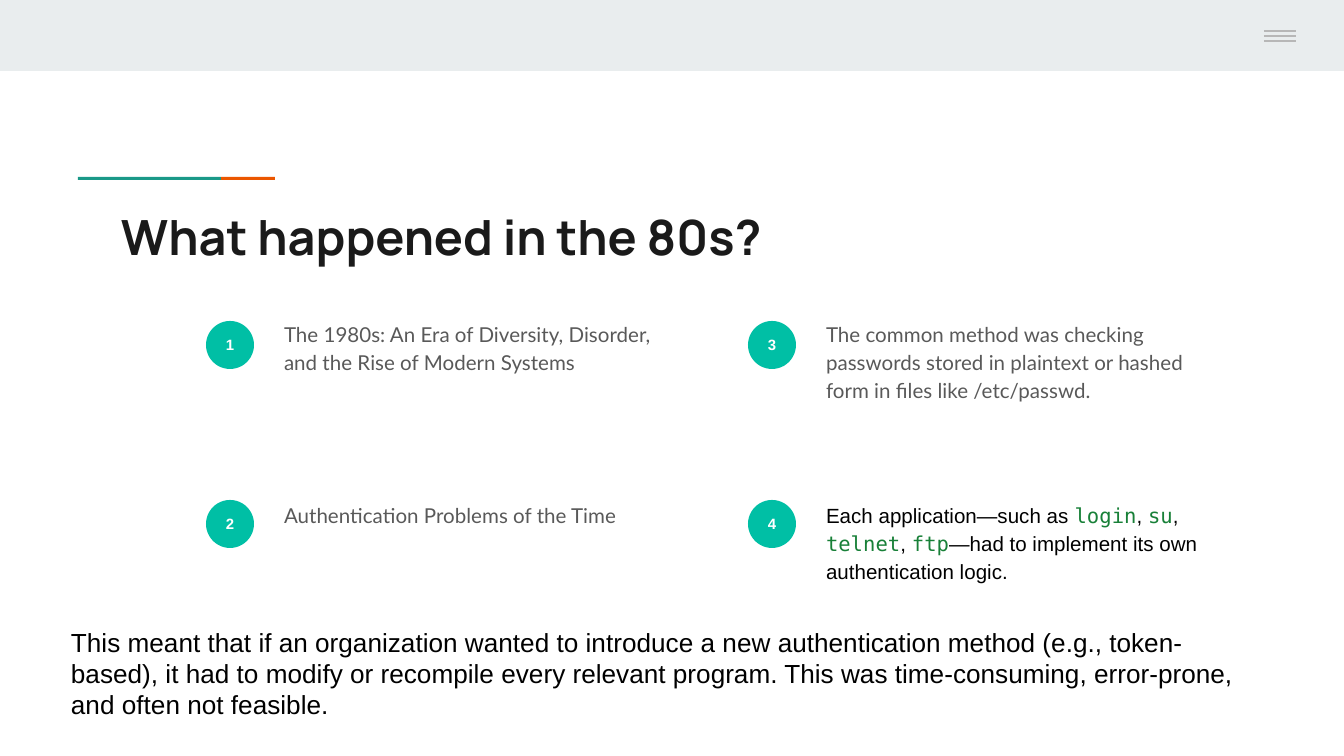
from pptx import Presentation
from pptx.dml.color import RGBColor
from pptx.enum.shapes import MSO_CONNECTOR, MSO_SHAPE
from pptx.enum.text import MSO_ANCHOR, PP_ALIGN
from pptx.oxml.ns import qn
from pptx.util import Emu, Pt
from lxml import etree

RECTANGLE = MSO_SHAPE.RECTANGLE
OVAL = MSO_SHAPE.OVAL
STRAIGHT = MSO_CONNECTOR.STRAIGHT
MIDDLE = MSO_ANCHOR.MIDDLE
TOP = MSO_ANCHOR.TOP
CENTER = PP_ALIGN.CENTER

WHITE = RGBColor(0xFF, 0xFF, 0xFF)
BLACK = RGBColor(0x00, 0x00, 0x00)
INK = RGBColor(0x1A, 0x1A, 0x1A)
GRAY = RGBColor(0x59, 0x59, 0x59)
BAND = RGBColor(0xE9, 0xED, 0xEE)
MENU = RGBColor(0xB7, 0xB7, 0xB7)
TEAL = RGBColor(0x1A, 0x99, 0x88)
ORANGE = RGBColor(0xEB, 0x56, 0x00)
BADGE = RGBColor(0x00, 0xBF, 0xA5)
CODE = RGBColor(0x18, 0x80, 0x38)

SANS = "Arial"
MONO = "DejaVu Sans Mono"
BODY = "Lato"
HEADING = "Manrope"

WIDTH, HEIGHT = 1344, 756
EMU_PER_PX = 9144000 / WIDTH
INSET = 13


def px(length):
    return Emu(round(length * EMU_PER_PX))


class SlideBuilder:
    def __init__(self, slide):
        self.slide = slide

    def block(self, kind, left, top, width, height, color):
        shape = self.slide.shapes.add_shape(
            kind, px(left), px(top), px(width), px(height))
        shape.shadow.inherit = False
        shape.fill.solid()
        shape.fill.fore_color.rgb = color
        shape.line.fill.background()
        return shape

    def rule(self, left, top, width):
        line = self.slide.shapes.add_connector(
            STRAIGHT, px(left), px(top), px(left + width), px(top))
        line.line.color.rgb = MENU
        line.line.width = Pt(0.75)
        etree.SubElement(line._element.spPr, qn("a:effectLst"))

    def style(self, run, font, size, color, bold=False):
        run.font.name = font
        run.font.size = Pt(size)
        run.font.color.rgb = color
        run.font.bold = bold

    def badge(self, left, top, number):
        shape = self.block(OVAL, left, top, 48, 48, BADGE)
        frame = shape.text_frame
        frame.text = str(number)
        frame.vertical_anchor = MIDDLE
        frame.margin_left = frame.margin_right = px(INSET)
        frame.margin_top = frame.margin_bottom = px(INSET)
        paragraph = frame.paragraphs[0]
        paragraph.alignment = CENTER
        self.style(paragraph.runs[0], SANS, 8, WHITE, bold=True)

    def text(self, left, top, width, height, parts, size, bold=False):
        box = self.slide.shapes.add_textbox(
            px(left), px(top), px(width), px(height))
        frame = box.text_frame
        frame.word_wrap = True
        frame.vertical_anchor = TOP
        frame.margin_left = frame.margin_right = px(INSET)
        frame.margin_top = frame.margin_bottom = px(INSET)
        paragraph = frame.paragraphs[0]
        for words, font, color in parts:
            run = paragraph.add_run()
            run.text = words
            self.style(run, font, size, color, bold)
        return paragraph

    def item(self, column, row, number, parts):
        left = 206 + 542 * column
        self.badge(left, 321 + 179 * row, number)
        paragraph = self.text(left + 65, 305 + 181 * row, 417, 155, parts, 11)
        paragraph.line_spacing = 1.15
        paragraph.space_after = Pt(16)


def plain(words):
    return words, SANS, BLACK


def code(words):
    return words, MONO, CODE


def body(words):
    return words, BODY, GRAY


ITEMS = [
    [body("The 1980s: An Era of Diversity, Disorder, and the Rise of Modern Systems")],
    [body("Authentication Problems of the Time")],
    [body("The common method was checking passwords stored in plaintext or hashed "
          "form in files like /etc/passwd.")],
    [plain("Each application—such as "), code("login"), plain(", "), code("su"),
     plain(", "), code("telnet"), plain(", "), code("ftp"),
     plain("—had to implement its own authentication logic.")],
]
CONCLUSION = (
    "This meant that if an organization wanted to introduce a new authentication "
    "method (e.g., token-based), it had to modify or recompile every relevant "
    "program. This was time-consuming, error-prone, and often not feasible.")


def main():
    presentation = Presentation()
    presentation.slide_width = px(WIDTH)
    presentation.slide_height = px(HEIGHT)
    builder = SlideBuilder(
        presentation.slides.add_slide(presentation.slide_layouts[6]))

    builder.block(RECTANGLE, 0, 0, WIDTH, 71, BAND)
    builder.block(RECTANGLE, 78, 177, 143, 3, TEAL)
    builder.block(RECTANGLE, 221, 177, 54, 3, ORANGE)
    for top in (31, 36, 41):
        builder.rule(1264, top, 32)

    builder.text(108, 194, 1130, 79,
                 [("What happened in the 80s?", HEADING, INK)], 26, bold=True)
    for index, parts in enumerate(ITEMS):
        column, row = divmod(index, 2)
        builder.item(column, row, index + 1, parts)
    builder.text(58, 613, 1208, 122, [plain(CONCLUSION)], 14)

    presentation.save("out.pptx")


if __name__ == "__main__":
    main()
